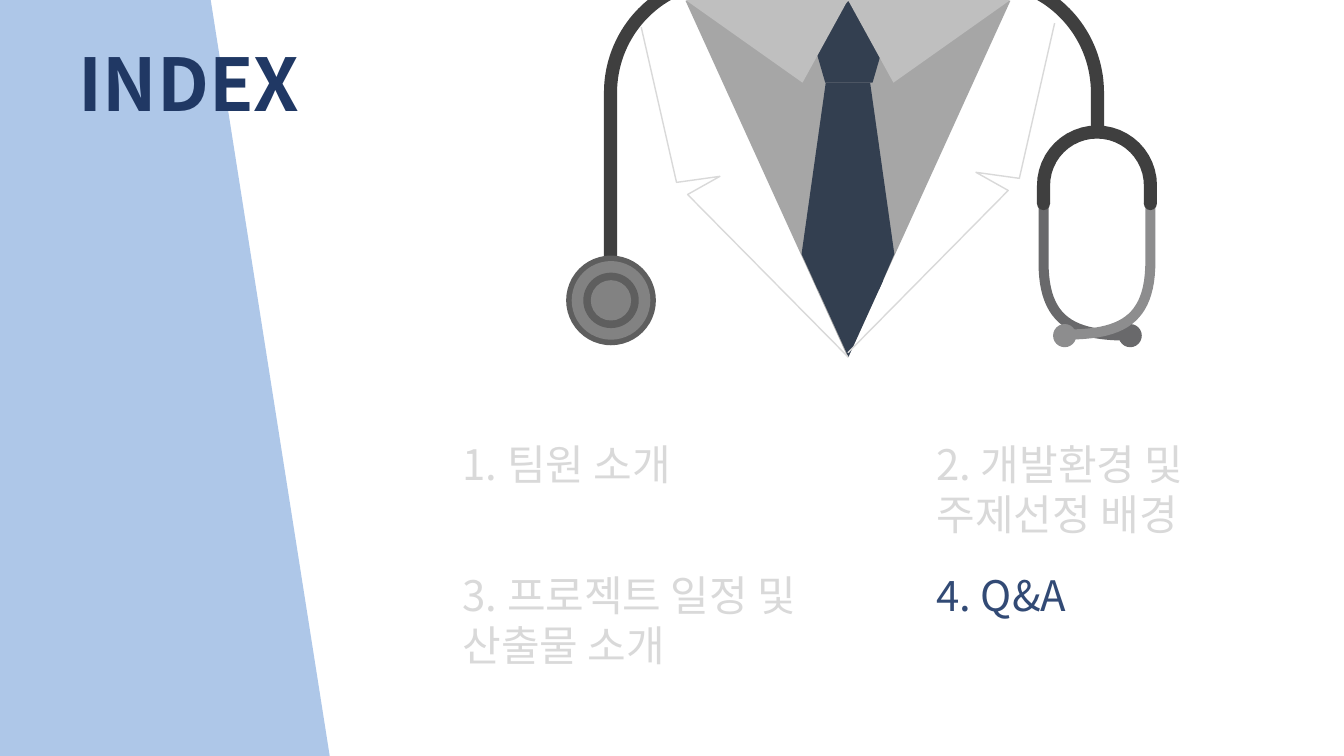
from dataclasses import dataclass
from math import asin, cos, degrees, hypot, radians, sin

from lxml.etree import SubElement
from pptx import Presentation
from pptx.dml.color import RGBColor
from pptx.enum.shapes import MSO_SHAPE
from pptx.enum.text import MSO_ANCHOR, MSO_AUTO_SIZE, PP_ALIGN
from pptx.oxml.ns import qn
from pptx.util import Pt


@dataclass(frozen=True)
class Theme:
    font: str = "Noto Sans CJK KR"
    title_size: int = 52
    item_size: int = 30
    item_pitch: int = 36
    band: str = "AEC7E8"
    title: str = "203864"
    muted: str = "D9D9D9"
    active: str = "324A75"
    shirt: str = "A6A6A6"
    collar: str = "BFBFBF"
    tie: str = "333F50"
    rubber: str = "3F3F3F"
    rim: str = "5E5E5E"
    metal: str = "828282"
    dark_tube: str = "69696B"
    light_tube: str = "8D8D8E"


COLUMNS, ROWS = 13.33, 7.5


def arc(center_x, center_y, radius, start, end, steps=24):
    """Points on a circle; angles in degrees, counter-clockwise from the right."""
    angles = [radians(start + (end - start) * i / steps) for i in range(steps + 1)]
    return [(center_x + radius * cos(a), center_y - radius * sin(a)) for a in angles]


def bezier(p0, p1, p2, p3, steps=24):
    def blend(t, axis):
        s = 1 - t
        return (s**3 * p0[axis] + 3 * s * s * t * p1[axis]
                + 3 * s * t * t * p2[axis] + t**3 * p3[axis])
    return [(blend(i / steps, 0), blend(i / steps, 1)) for i in range(steps + 1)]


def mirror(points, axis, rise=0.0):
    """Reflect points across a vertical axis, then lift them by rise."""
    return [(2 * axis - x, y - rise) for x, y in points]


def tube(centerline, width):
    """Outline of a band of even width that follows the centerline."""
    left, right = [], []
    for i, (x, y) in enumerate(centerline):
        x0, y0 = centerline[max(i - 1, 0)]
        x1, y1 = centerline[min(i + 1, len(centerline) - 1)]
        scale = width / 2 / hypot(x1 - x0, y1 - y0)
        shift_x, shift_y = (y1 - y0) * scale, (x0 - x1) * scale
        left.append((x + shift_x, y + shift_y))
        right.append((x - shift_x, y - shift_y))
    return left + right[::-1]


def hose(bottom):
    """Outline of the left hose, from the slide's top edge down to bottom."""
    center_x, center_y, inner, outer = 7.18, 0.92, 1.06, 1.19
    inner_arc, outer_arc = [
        arc(center_x, center_y, r, 180, 180 - degrees(asin(center_y / r)))
        for r in (inner, outer)]
    # The inner arc runs up, so the outer one is walked back down.
    return (inner_arc + outer_arc[::-1]
            + [(center_x - outer, bottom), (center_x - inner, bottom)])


class SlideBuilder:
    def __init__(self, presentation, theme):
        self.theme = theme
        self.column = presentation.slide_width / COLUMNS
        self.row = presentation.slide_height / ROWS
        self.slide = presentation.slides.add_slide(presentation.slide_layouts[5])
        self.shapes = self.slide.shapes

    def start_group(self):
        self.shapes = self.slide.shapes.add_group_shape().shapes

    def end_group(self):
        self.shapes = self.slide.shapes

    def box(self, left, top, width, height):
        return (round(left * self.column), round(top * self.row),
                round(width * self.column), round(height * self.row))

    def paint(self, shape, color):
        shape.shadow.inherit = False
        shape.fill.solid()
        shape.fill.fore_color.rgb = RGBColor.from_string(color)
        shape.line.fill.background()

    def preset(self, kind, box, color, adjustment=None, rotation=0):
        shape = self.shapes.add_shape(kind, *self.box(*box))
        if adjustment is not None:
            shape.adjustments[0] = adjustment
        shape.rotation = rotation
        self.paint(shape, color)

    def hanging_triangle(self, box, color, apex=0.5):
        self.preset(MSO_SHAPE.ISOSCELES_TRIANGLE, box, color, apex, rotation=180)

    def disc(self, center_x, center_y, diameter, color):
        radius = diameter / 2
        self.preset(MSO_SHAPE.OVAL,
                    (center_x - radius, center_y - radius, diameter, diameter), color)

    def trace(self, points, close):
        grid = [(round(x * self.column), round(y * self.row)) for x, y in points]
        builder = self.shapes.build_freeform(*grid[0])
        builder.add_line_segments(grid[1:], close=close)
        return builder.convert_to_shape()

    def polygon(self, points, color):
        self.paint(self.trace(points, True), color)

    def outline(self, points, color):
        shape = self.trace(points, False)
        shape.shadow.inherit = False
        shape.fill.background()
        shape.line.color.rgb = RGBColor.from_string(color)
        shape.line.width = Pt(1)

    def add_text(self, shape, text, size, color, bold=False):
        frame = shape.text_frame
        frame.word_wrap = True
        frame.auto_size = MSO_AUTO_SIZE.NONE
        paragraph = frame.paragraphs[0]
        paragraph.alignment = PP_ALIGN.LEFT
        run = paragraph.add_run()
        run.text = text
        run.font.size = Pt(size)
        run.font.bold = bold
        run.font.color.rgb = RGBColor.from_string(color)
        run.font.name = self.theme.font
        SubElement(run.font._element, qn("a:ea"), typeface=self.theme.font)
        return frame, paragraph

    def title(self, text, box):
        """Fill the title placeholder and bring it in front of what is drawn."""
        shape = self.slide.shapes.title
        self.slide.shapes._spTree.append(shape._element)
        shape.left, shape.top, shape.width, shape.height = self.box(*box)
        frame, paragraph = self.add_text(shape, text, self.theme.title_size,
                                         self.theme.title, bold=True)
        frame.vertical_anchor = MSO_ANCHOR.MIDDLE
        paragraph.line_spacing = 1.0

    def item(self, text, box, color):
        shape = self.shapes.add_textbox(*self.box(*box))
        frame, paragraph = self.add_text(shape, text, self.theme.item_size, color)
        frame.vertical_anchor = MSO_ANCHOR.TOP
        paragraph.line_spacing = Pt(self.theme.item_pitch)


def draw_doctor(builder, theme):
    builder.start_group()
    builder.hanging_triangle((6.8, 0.01, 3.22, 3.54), theme.shirt)
    builder.preset(MSO_SHAPE.REGULAR_PENTAGON, (8.04, 0.01, 0.76, 0.81), theme.tie)
    builder.polygon([(8.19, 0.82), (8.63, 0.82), (8.87, 2.52),
                     (8.72, 2.87), (8.11, 2.87), (7.95, 2.52)], theme.tie)
    for left, apex in ((6.8, 0.28), (8.41, 0.72)):
        builder.hanging_triangle((left, 0, 1.61, 0.82), theme.collar, apex)
    builder.hanging_triangle((8.07, 2.78, 0.69, 0.76), theme.tie)

    builder.polygon(hose(3.21), theme.rubber)
    builder.polygon(mirror(hose(1.34), 8.47), theme.rubber)
    for diameter, color in ((0.89, theme.rim), (0.78, theme.metal),
                            (0.55, theme.rim), (0.4, theme.metal)):
        builder.disc(6.06, 2.98, diameter, color)

    yoke_x = 10.88
    ear_tube = tube([(10.35, 2.02)] + bezier((10.35, 2.6), (10.35, 3.2),
                                             (10.65, 3.33), (11.2, 3.33)), 0.1)
    builder.polygon(ear_tube, theme.dark_tube)
    builder.disc(11.21, 3.33, 0.23, theme.dark_tube)
    builder.polygon(mirror(ear_tube, yoke_x, 0.01), theme.light_tube)
    builder.disc(10.56, 3.33, 0.23, theme.light_tube)
    yoke = arc(yoke_x, 1.84, 0.53, 180, 0)
    ends = [(yoke_x - 0.53, 2.02), (yoke_x + 0.53, 2.02)]
    builder.polygon(tube([ends[0]] + yoke + [ends[1]], 0.13), theme.rubber)
    for end_x, end_y in ends:
        builder.disc(end_x, end_y, 0.13, theme.rubber)

    lapel = [(6.36, 0.27), (6.71, 1.81), (7.14, 1.75), (6.82, 1.93), (8.41, 3.54)]
    builder.outline(lapel, theme.muted)
    builder.outline(mirror(lapel, 8.41, 0.04), theme.muted)
    builder.end_group()


def main():
    theme = Theme()
    presentation = Presentation()
    presentation.slide_width, presentation.slide_height = Pt(COLUMNS * 72), Pt(ROWS * 72)
    builder = SlideBuilder(presentation, theme)
    builder.preset(MSO_SHAPE.TRAPEZOID, (-1.45, 0, 4.72, ROWS), theme.band, 0.25)
    builder.title("INDEX", (0.68, 0.34, 3.62, 0.96))
    draw_doctor(builder, theme)

    items = ("1. 팀원 소개", "2. 개발환경 및 주제선정 배경",
             "3. 프로젝트 일정 및 산출물 소개", "4. Q&A")
    for index, text in enumerate(items):
        row, column = divmod(index, 2)
        color = theme.active if index == len(items) - 1 else theme.muted
        builder.item(text, (4.49 + 4.7 * column, 4.3 + 1.3 * row,
                            3.92 - 0.45 * column, 1.1), color)
    presentation.save("out.pptx")


if __name__ == "__main__":
    main()
